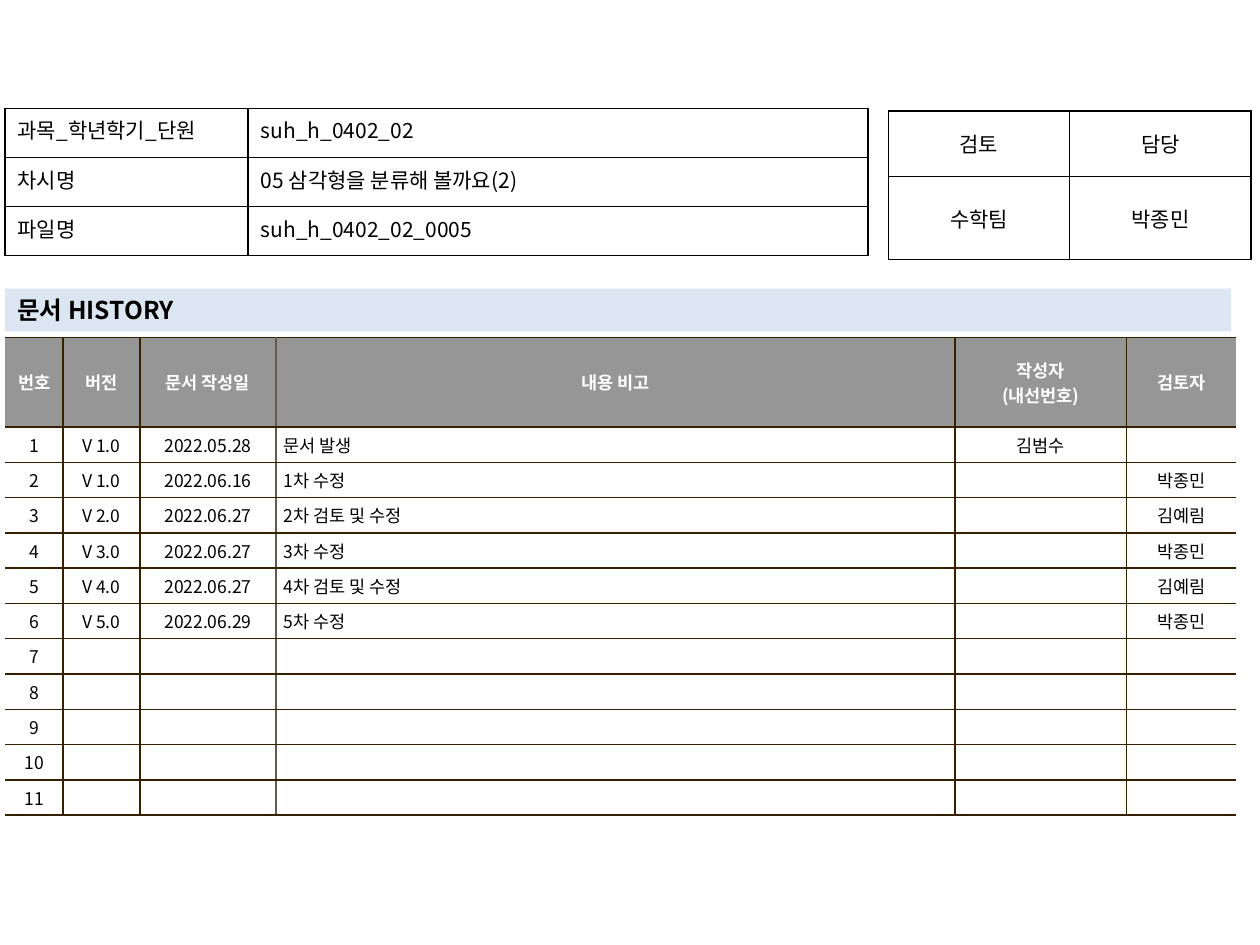
from pptx import Presentation
from pptx.dml.color import RGBColor
from pptx.enum.shapes import MSO_SHAPE
from pptx.enum.text import MSO_ANCHOR as Anchor, PP_ALIGN as Align
from pptx.oxml.ns import qn
from pptx.util import Inches, Pt
from lxml.etree import SubElement

FONT = "Noto Sans CJK KR"
BLACK, WHITE, GREY, PALE_BLUE = "000000", "FFFFFF", "969696", "DCE6F2"
BROWN, TAUPE = "362000", "645B4C"
HISTORY_MARGINS = (0.06, 0.04)
HEADINGS = ["번호", "버전", "문서 작성일", "내용 비고", "작성자\n(내선번호)", "검토자"]
REVISIONS = [
    ["V 1.0", "2022.05.28", "문서 발생", "김범수", ""],
    ["V 1.0", "2022.06.16", "1차 수정", "", "박종민"],
    ["V 2.0", "2022.06.27", "2차 검토 및 수정", "", "김예림"],
    ["V 3.0", "2022.06.27", "3차 수정", "", "박종민"],
    ["V 4.0", "2022.06.27", "4차 검토 및 수정", "", "김예림"],
    ["V 5.0", "2022.06.29", "5차 수정", "", "박종민"],
]
HISTORY_ROWS = 11
NOTE_COLUMN = 3


def color(hex_value):
    return RGBColor.from_string(hex_value)


def set_values(target, values):
    for name, value in values.items():
        setattr(target, name, value)


class SlideBuilder:
    def __init__(self, slide, font):
        self.slide = slide
        self.font = font

    def fill_text(self, frame, text, size, ink=BLACK, bold=False, align=Align.LEFT, hang=0):
        """Fill a text frame, one paragraph for each line of text."""
        for index, line in enumerate(text.split("\n")):
            para = frame.add_paragraph() if index else frame.paragraphs[0]
            para.alignment = align
            if hang:
                properties = para._p.get_or_add_pPr()
                properties.set("marL", str(Inches(hang)))
                properties.set("indent", str(-Inches(hang)))
            if not line:
                # An empty cell keeps the row height of its text size.
                SubElement(para._p, qn("a:endParaRPr"), sz=str(size * 100))
                continue
            span = para.add_run()
            span.text = line
            set_values(span.font, {"name": self.font, "size": Pt(size), "bold": bold})
            span.font.color.rgb = color(ink)
            SubElement(span._r.get_or_add_rPr(), qn("a:ea"), typeface=self.font)

    def bar(self, left, top, width, height, fill, text, size):
        box = self.slide.shapes.add_shape(
            MSO_SHAPE.RECTANGLE, *map(Inches, (left, top, width, height)))
        box.shadow.inherit = False
        box.fill.solid()
        box.fill.fore_color.rgb = color(fill)
        box.line.fill.background()
        set_values(box.text_frame, {"word_wrap": True, "vertical_anchor": Anchor.TOP})
        self.fill_text(box.text_frame, text, size, bold=True)

    def table(self, left, top, widths, heights):
        frame = self.slide.shapes.add_table(
            len(heights), len(widths),
            *map(Inches, (left, top, sum(widths), sum(heights))))
        table = frame.table
        set_values(table, {"first_row": False, "horz_banding": False})
        for column, width in zip(table.columns, widths):
            column.width = Inches(width)
        for row, height in zip(table.rows, heights):
            row.height = Inches(height)
        return table

    def cell(self, cell, text, borders, fill=None, margins=(0.1, 0.05),
             anchor=Anchor.MIDDLE, **style):
        """Style one cell; borders gives left, right, top and bottom colours."""
        across, down = map(Inches, margins)
        set_values(cell, {"margin_left": across, "margin_right": across,
                          "margin_top": down, "margin_bottom": down,
                          "vertical_anchor": anchor})
        properties = cell._tc.get_or_add_tcPr()
        for side, ink in zip("LRTB", borders):
            line = SubElement(properties, qn(f"a:ln{side}"), w=str(Pt(1)))
            if ink:
                paint = SubElement(line, qn("a:solidFill"))
                SubElement(paint, qn("a:srgbClr"), val=ink)
            else:
                SubElement(line, qn("a:noFill"))
        if fill:
            cell.fill.solid()
            cell.fill.fore_color.rgb = color(fill)
        else:
            cell.fill.background()
        self.fill_text(cell.text_frame, text, **style)

    def history(self, left, top, widths, header_height, row_height):
        blanks = [[""] * 5] * (HISTORY_ROWS - len(REVISIONS))
        rows = [HEADINGS] + [[str(number), *entry] for number, entry
                             in enumerate(REVISIONS + blanks, 1)]
        table = self.table(left, top, widths,
                           [header_height] + [row_height] * HISTORY_ROWS)
        verticals = [None, BROWN, BROWN, TAUPE, BROWN, BROWN, None]
        for r, row in enumerate(rows):
            header = r == 0
            for c, text in enumerate(row):
                note = c == NOTE_COLUMN and not header
                self.cell(table.cell(r, c), text,
                          (verticals[c], verticals[c + 1], BROWN, BROWN),
                          fill=GREY if header else WHITE, margins=HISTORY_MARGINS,
                          size=10, ink=WHITE if header else BLACK, bold=header,
                          align=Align.LEFT if note else Align.CENTER,
                          hang=0.19 if note else 0)

    def info(self, left, top, widths, heights, rows, aligns, anchor):
        """Add a plain table with a full black grid."""
        table = self.table(left, top, widths, heights)
        for r, row in enumerate(rows):
            for c, text in enumerate(row):
                self.cell(table.cell(r, c), text, [BLACK] * 4, anchor=anchor,
                          size=12, align=aligns[c])


def main():
    deck = Presentation()
    set_values(deck, {"slide_width": Inches(10), "slide_height": Inches(7.5)})
    page = SlideBuilder(deck.slides.add_slide(deck.slide_layouts[6]), FONT)
    page.history(0.04, 2.68, [0.46, 0.61, 1.08, 5.39, 1.36, 0.87], 0.71, 0.25)
    page.info(7.05, 0.88, [1.44, 1.44], [0.52, 0.66],
              [["검토", "담당"], ["수학팀", "박종민"]],
              [Align.CENTER, Align.CENTER], Anchor.MIDDLE)
    page.bar(0.04, 2.29, 9.73, 0.34, PALE_BLUE, "문서 HISTORY", 14)
    page.info(0.04, 0.86, [1.93, 4.92], [0.39] * 3,
              [["과목_학년학기_단원", "suh_h_0402_02"],
               ["차시명", "05 삼각형을 분류해 볼까요(2)"],
               ["파일명", "suh_h_0402_02_0005"]],
              [Align.JUSTIFY, Align.LEFT], Anchor.TOP)
    deck.save("out.pptx")


if __name__ == "__main__":
    main()
